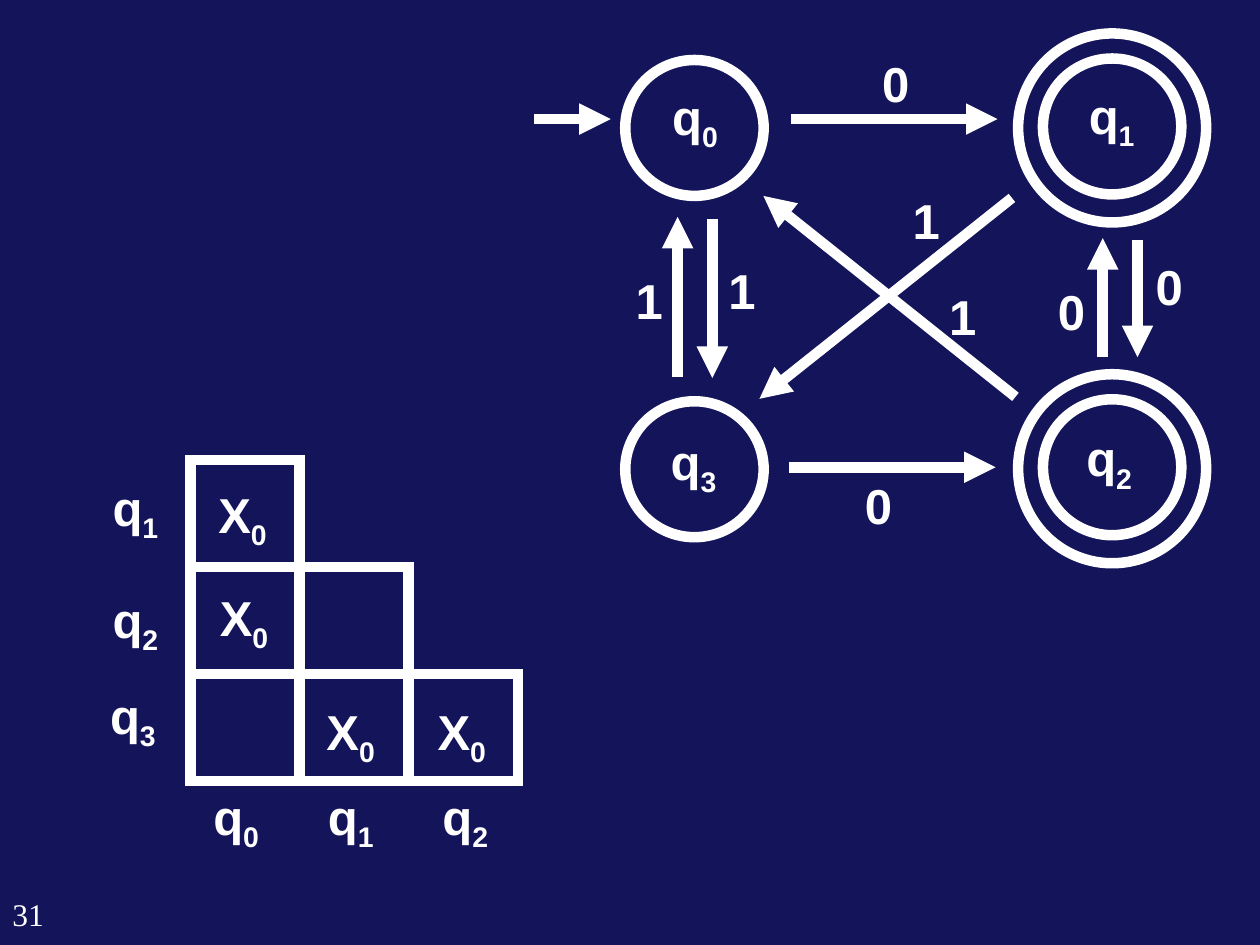
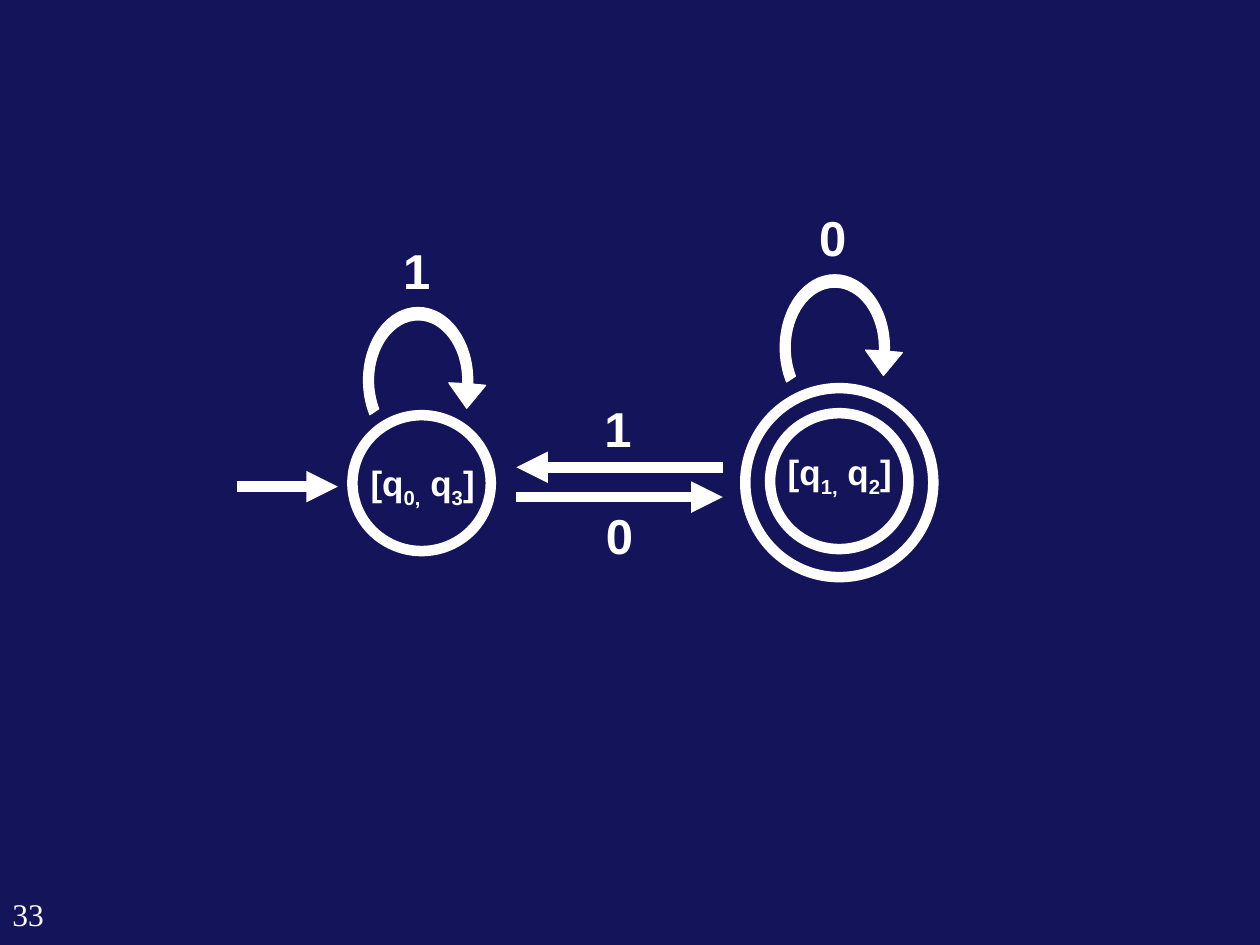
import math
from dataclasses import dataclass
from itertools import pairwise

import lxml.etree
import pptx
import pptx.dml.color
import pptx.enum.shapes
import pptx.enum.text
import pptx.oxml.ns
import pptx.presentation
import pptx.shapes.autoshape
import pptx.slide
import pptx.util
from pptx.util import Cm

NAVY = pptx.dml.color.RGBColor(0x14, 0x14, 0x5A)
WHITE = pptx.dml.color.RGBColor(0xFF, 0xFF, 0xFF)
STROKE = pptx.util.Pt(6)

# All lengths below are centimetres.
STATE_SIZE = (2.79, 2.74)
ACCEPTING_RING_SIZE = (3.79, 3.81)
ACCEPTING_RING_DROP = 0.03
CELL_WIDTH, CELL_HEIGHT = 2.2, 2.16
GRID_LEFT, GRID_TOP = 3.84, 9.27

LOOP_OUTER_RADII = (1.1, 1.47)
LOOP_INNER_RADII = (0.9, 1.22)
LOOP_ANGLES = (152, 180, 270, 360, 363)
LOOP_HEAD = [(1.36, 0.1), (0.98, 0.56), (0.62, 0.05)]


@dataclass(frozen=True)
class State:
    x: float
    y: float
    accepting: bool = False


@dataclass(frozen=True)
class Label:
    """Text centred on (x, y); every second part between bars is a subscript."""
    text: str
    x: float
    y: float
    size: int = 28


@dataclass(frozen=True)
class Arrow:
    x1: float
    y1: float
    x2: float
    y2: float


@dataclass(frozen=True)
class Loop:
    x: float
    y: float


@dataclass(frozen=True)
class Automaton:
    states: list[State]
    arrows: list[Arrow]
    labels: list[Label]
    loops: list[Loop]


FULL_AUTOMATON = Automaton(
    states=[
        State(14, 2.58), State(22.42, 2.55, accepting=True),
        State(14, 9.46), State(22.42, 9.42, accepting=True),
    ],
    arrows=[
        Arrow(10.77, 2.4, 12.31, 2.4),
        Arrow(15.95, 2.4, 20.11, 2.4),
        Arrow(15.9, 9.42, 20.07, 9.42),
        Arrow(14.36, 4.42, 14.36, 7.62),
        Arrow(13.66, 7.59, 13.66, 4.37),
        Arrow(22.93, 4.83, 22.93, 7.2),
        Arrow(22.23, 7.19, 22.23, 4.8),
        Arrow(20.47, 8, 15.39, 3.95),
        Arrow(20.4, 3.99, 15.31, 8.04),
    ],
    labels=[
        Label("q|0", 14.01, 2.35), Label("q|1", 22.41, 2.33),
        Label("q|2", 22.36, 9.23), Label("q|3", 13.98, 9.3),
        Label("1", 14.96, 5.86), Label("1", 13.09, 6.06),
        Label("1", 18.67, 4.44), Label("1", 19.41, 6.37),
        Label("0", 17.71, 10.18), Label("0", 18.06, 1.69),
        Label("0", 23.57, 5.78), Label("0", 21.6, 6.27),
    ],
    loops=[],
)

MINIMAL_AUTOMATON = Automaton(
    states=[State(8.5, 9.74), State(16.92, 9.7, accepting=True)],
    arrows=[
        Arrow(4.77, 9.81, 6.81, 9.81),
        Arrow(10.41, 10.02, 14.57, 10.02),
        Arrow(14.57, 9.42, 10.41, 9.42),
    ],
    labels=[
        Label("[q|0,| q|3|]", 8.52, 9.73, 20),
        Label("[q|1,| q|2|]", 16.93, 9.51, 20),
        Label("0", 12.49, 10.79), Label("1", 12.46, 8.63),
        Label("0", 16.79, 4.79), Label("1", 8.4, 5.45),
    ],
    loops=[Loop(16.83, 7.01), Loop(8.43, 7.67)],
)

PAIR_TABLE_LABELS = [
    Label("q|1", 2.73, 10.23), Label("q|2", 2.73, 12.48), Label("q|3", 2.68, 14.42),
    *(Label(f"q|{column}", 4.76 + 2.31 * column, 16.46) for column in range(3)),
    Label("X|0", 4.89, 10.36), Label("X|0", 4.92, 12.44),
    Label("X|0", 7.07, 14.74), Label("X|0", 9.31, 14.74),
]


def add_outline(slide: pptx.slide.Slide, preset: pptx.enum.shapes.MSO_SHAPE,
                left: float, top: float, width: float, height: float) -> None:
    """Add an unfilled white outline with sharp corners."""
    outline = slide.shapes.add_shape(preset, Cm(left), Cm(top), Cm(width), Cm(height))
    outline.shadow.inherit = False
    outline.fill.background()
    outline.line.color.rgb = WHITE
    outline.line.width = STROKE
    stroke = outline.line._get_or_add_ln()
    lxml.etree.SubElement(stroke, pptx.oxml.ns.qn("a:miter"), lim="800000")


def draw_state(slide: pptx.slide.Slide, state: State) -> None:
    rings = [(STATE_SIZE, 0.0)]
    if state.accepting:
        rings.append((ACCEPTING_RING_SIZE, ACCEPTING_RING_DROP))
    for (width, height), drop in rings:
        add_outline(slide, pptx.enum.shapes.MSO_SHAPE.OVAL,
                    state.x - width / 2, state.y + drop - height / 2, width, height)


def draw_arrow(slide: pptx.slide.Slide, arrow: Arrow) -> None:
    connector = slide.shapes.add_connector(
        pptx.enum.shapes.MSO_CONNECTOR.STRAIGHT,
        Cm(arrow.x1), Cm(arrow.y1), Cm(arrow.x2), Cm(arrow.y2))
    connector.line.color.rgb = WHITE
    connector.line.width = STROKE
    stroke = connector.line._get_or_add_ln()
    lxml.etree.SubElement(stroke, pptx.oxml.ns.qn("a:tailEnd"), type="triangle")
    lxml.etree.SubElement(connector._element.spPr, pptx.oxml.ns.qn("a:effectLst"))


def draw_label(slide: pptx.slide.Slide, label: Label) -> None:
    parts = label.text.split("|")
    width = 0.65 + 0.015 * label.size * sum(map(len, parts))
    height = 0.25 + 0.043 * label.size
    box = slide.shapes.add_textbox(Cm(label.x - width / 2), Cm(label.y - height / 2),
                                   Cm(width), Cm(height))
    box.text_frame.word_wrap = False
    paragraph = box.text_frame.paragraphs[0]
    paragraph.alignment = pptx.enum.text.PP_ALIGN.CENTER
    for index, part in enumerate(parts):
        run = paragraph.add_run()
        run.text = part
        run.font.name = "Arial"
        run.font.size = pptx.util.Pt(label.size)
        run.font.bold = True
        run.font.color.rgb = WHITE
        if index % 2:
            run._r.get_or_add_rPr().set("baseline", "-25000")


def arc_points(radii: tuple[float, float]) -> list[tuple[float, float]]:
    """Return an elliptic arc as a start point and three Bézier points per segment."""
    def on_arc(angle: float, tangent: float = 0) -> tuple[float, float]:
        cosine, sine = math.cos(angle), math.sin(angle)
        return radii[0] * (cosine - tangent * sine), radii[1] * (sine + tangent * cosine)

    angles = [math.radians(angle) for angle in LOOP_ANGLES]
    points = [on_arc(angles[0])]
    for start, end in pairwise(angles):
        handle = 4 / 3 * math.tan((end - start) / 4)
        points += [on_arc(start, handle), on_arc(end, -handle), on_arc(end)]
    return points


def curve_segments(curl: pptx.shapes.autoshape.Shape, starts: list[int]) -> None:
    """Turn the three line segments from each start index into one Bézier curve."""
    outline = next(curl._element.iter(pptx.oxml.ns.qn("a:path")))
    segments = outline.findall(pptx.oxml.ns.qn("a:lnTo"))
    for start in starts:
        curve = lxml.etree.Element(pptx.oxml.ns.qn("a:cubicBezTo"))
        segments[start].addprevious(curve)
        for segment in segments[start:start + 3]:
            curve.append(segment[0])
            outline.remove(segment)


def draw_loop(slide: pptx.slide.Slide, loop: Loop) -> None:
    inner = arc_points(LOOP_INNER_RADII)[::-1]
    outer = arc_points(LOOP_OUTER_RADII)
    points = [(Cm(loop.x + dx), Cm(loop.y + dy)) for dx, dy in inner + outer + LOOP_HEAD]
    builder = slide.shapes.build_freeform(*points[0])
    builder.add_line_segments(points[1:], close=True)
    curl = builder.convert_to_shape()
    arc_length = len(inner)
    curve_segments(curl, [*range(0, arc_length - 1, 3),
                          *range(arc_length, 2 * arc_length - 1, 3)])
    curl.shadow.inherit = False
    curl.fill.solid()
    curl.fill.fore_color.rgb = WHITE
    curl.line.color.rgb = WHITE
    curl.line.width = pptx.util.Pt(0.75)


def draw_automaton(slide: pptx.slide.Slide, automaton: Automaton) -> None:
    for state in automaton.states:
        draw_state(slide, state)
    for arrow in automaton.arrows:
        draw_arrow(slide, arrow)
    for loop in automaton.loops:
        draw_loop(slide, loop)
    for label in automaton.labels:
        draw_label(slide, label)


def draw_pair_table(slide: pptx.slide.Slide) -> None:
    """Draw the staircase of state pairs, one cell longer in each row."""
    for row in range(3):
        for column in range(row + 1):
            add_outline(slide, pptx.enum.shapes.MSO_SHAPE.RECTANGLE,
                        GRID_LEFT + column * CELL_WIDTH, GRID_TOP + row * CELL_HEIGHT,
                        CELL_WIDTH, CELL_HEIGHT)
    for label in PAIR_TABLE_LABELS:
        draw_label(slide, label)


def add_numbered_slide(deck: pptx.presentation.Presentation, number: int) -> pptx.slide.Slide:
    slide = deck.slides.add_slide(deck.slide_layouts[6])
    page_number = slide.shapes.add_textbox(Cm(0), Cm(17.91), Cm(1.45), Cm(1.14))
    page_number.text_frame.word_wrap = True
    page_number.text_frame.text = str(number)
    font = page_number.text_frame.paragraphs[0].runs[0].font
    font.name = "Times New Roman"
    font.size = pptx.util.Pt(18)
    font.color.rgb = WHITE
    return slide


def main() -> None:
    deck = pptx.Presentation()
    deck.slide_width, deck.slide_height = Cm(25.4), Cm(19.05)
    background = deck.slide_master.background.fill
    background.solid()
    background.fore_color.rgb = NAVY

    pairs_slide = add_numbered_slide(deck, 31)
    draw_automaton(pairs_slide, FULL_AUTOMATON)
    draw_pair_table(pairs_slide)

    minimal_slide = add_numbered_slide(deck, 33)
    draw_automaton(minimal_slide, MINIMAL_AUTOMATON)

    deck.save("out.pptx")


if __name__ == "__main__":
    main()
